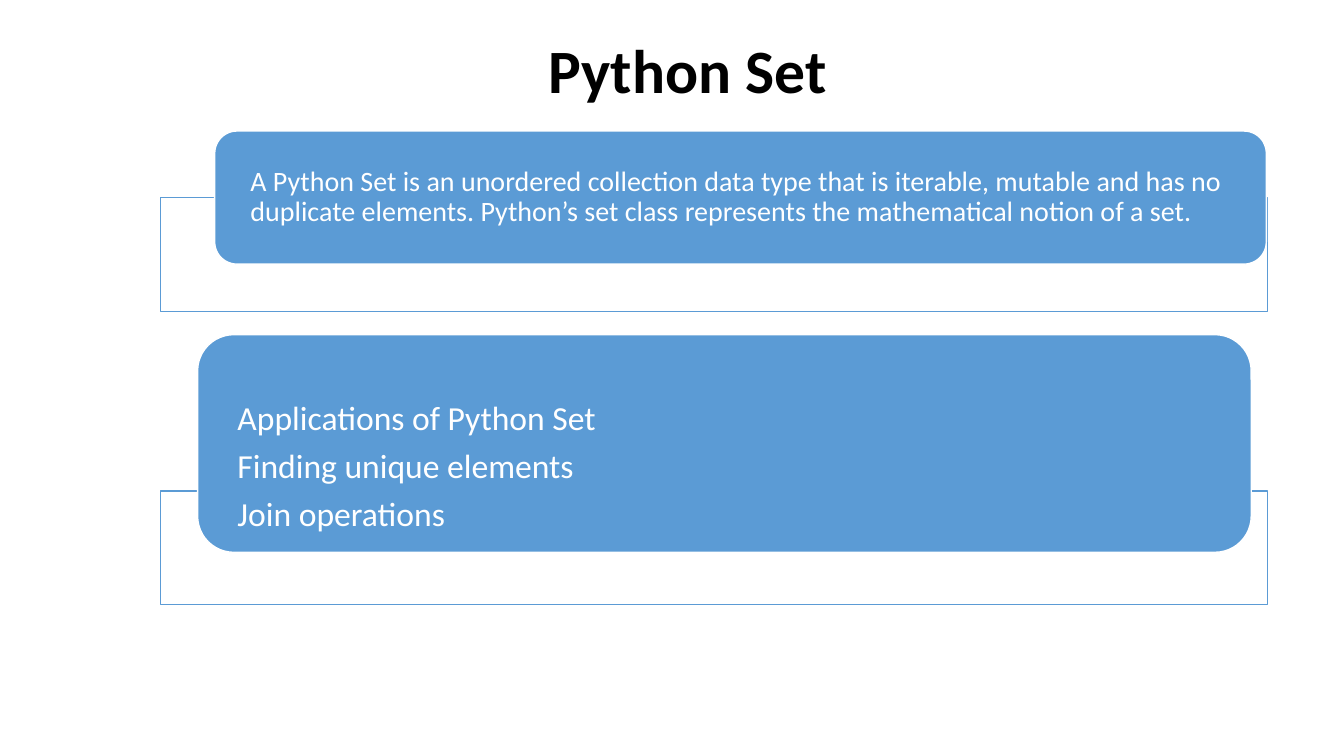
from lxml.etree import SubElement
from pptx import Presentation
from pptx.dml.color import RGBColor
from pptx.enum.shapes import MSO_SHAPE
from pptx.enum.text import MSO_ANCHOR, PP_ALIGN
from pptx.oxml.ns import qn
from pptx.util import Inches, Pt

BLUE, WHITE, BLACK = "5B9BD5", "FFFFFF", "000000"
FRAME_LEFT, FRAME_WIDTH, FRAME_HEIGHT = 1.59, 10.98, 1.13


def color(value):
    return RGBColor.from_string(value)


def format_paragraph(p, size, font_color, bold=False):
    p.line_spacing = 0.9
    for r in p.runs:
        r.font.name = "Calibri"
        r.font.size = Pt(size)
        r.font.bold = bold
        r.font.color.rgb = color(font_color)


def add_title(slide, box, text):
    sp = slide.shapes.title
    sp.left, sp.top, sp.width, sp.height = map(Inches, box)
    tf = sp.text_frame
    tf.text = text
    tf.vertical_anchor = MSO_ANCHOR.MIDDLE
    p = tf.paragraphs[0]
    p.alignment = PP_ALIGN.CENTER
    format_paragraph(p, 44, BLACK, bold=True)


def add_box(slide, kind, box, fill, line):
    sp = slide.shapes.add_shape(kind, *map(Inches, box))
    sp.shadow.inherit = False
    sp.fill.solid()
    sp.fill.fore_color.rgb = color(fill)
    sp.line.color.rgb = color(line)
    sp.line.width = Pt(1)
    return sp


def add_frame(slide, top):
    """Add the outlined, nearly opaque rectangle behind a card."""
    box = (FRAME_LEFT, top, FRAME_WIDTH, FRAME_HEIGHT)
    sp = add_box(slide, MSO_SHAPE.RECTANGLE, box, WHITE, BLUE)
    fill = sp.fill.fore_color._xFill.find(qn("a:srgbClr"))
    SubElement(fill, qn("a:alpha"), val="90000")


def add_card(slide, box, lines, size, top_inset=0):
    sp = add_box(slide, MSO_SHAPE.ROUNDED_RECTANGLE, box, BLUE, WHITE)
    tf = sp.text_frame
    tf.word_wrap = True
    tf.vertical_anchor = MSO_ANCHOR.MIDDLE
    tf.margin_left = tf.margin_right = Inches(0.29)
    tf.margin_top, tf.margin_bottom = Inches(top_inset), 0
    tf.text = "\n".join(lines)
    for p in tf.paragraphs:
        p.alignment = PP_ALIGN.LEFT
        p.space_after = Pt(size * 0.35)
        format_paragraph(p, size, WHITE)


def main():
    prs = Presentation()
    prs.slide_width, prs.slide_height = Inches(13.33), Inches(7.5)
    slide = prs.slides.add_slide(prs.slide_layouts[5])
    add_title(slide, (1.07, 0, 11.5, 1.45), "Python Set")
    add_frame(slide, 1.96)
    add_card(slide, (2.13, 1.3, 10.43, 1.32), [
        "A Python Set is an unordered collection data type that is iterable, "
        "mutable and has no duplicate elements. Python’s set class represents "
        "the mathematical notion of a set.",
    ], 20)
    add_frame(slide, 4.87)
    add_card(slide, (1.96, 3.32, 10.45, 2.16), [
        "Applications of Python Set",
        "Finding unique elements",
        "Join operations",
    ], 24, top_inset=0.48)
    prs.save("out.pptx")


if __name__ == "__main__":
    main()
